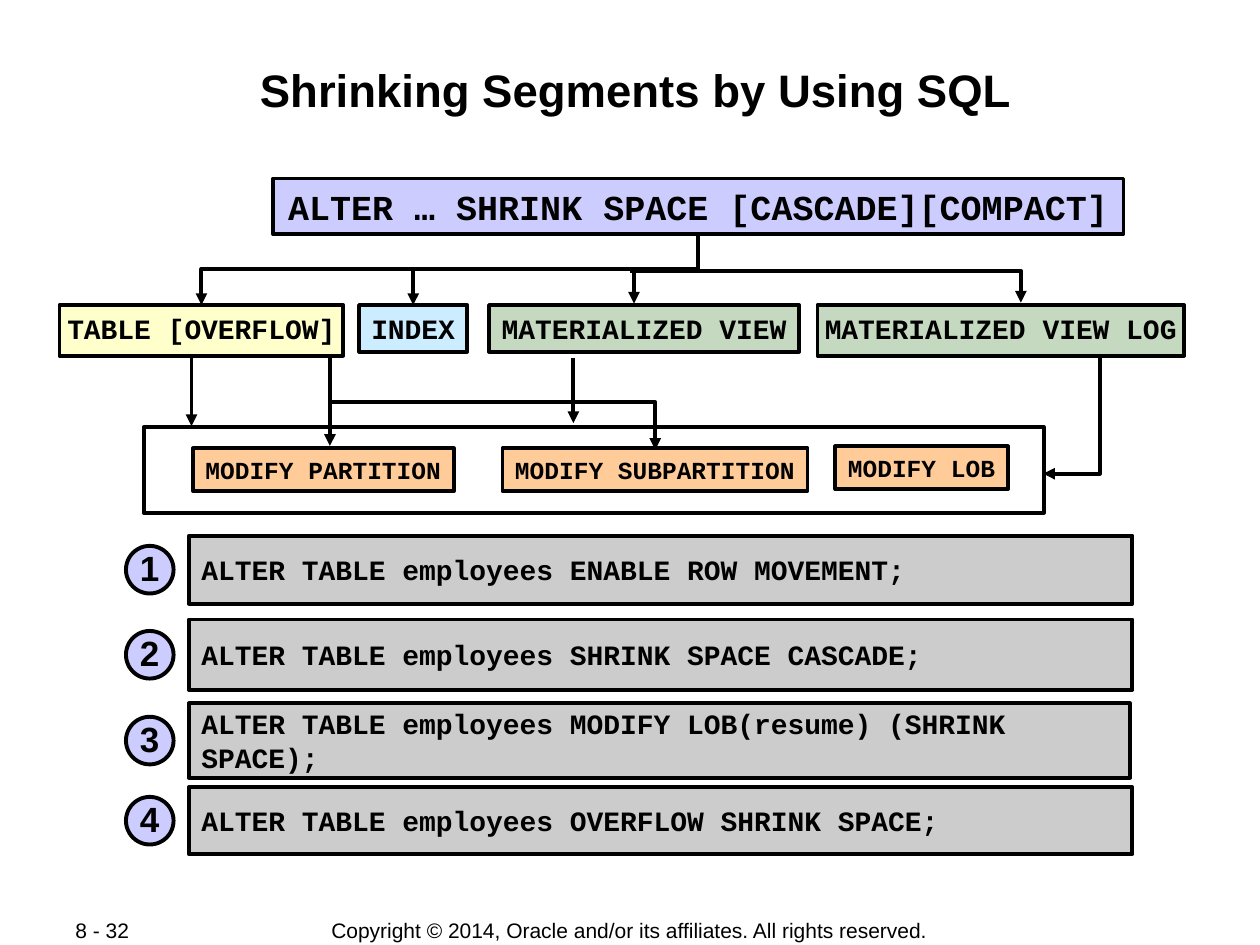
import dataclasses

import pptx
import pptx.dml.color
import pptx.enum.shapes
import pptx.enum.text
import pptx.oxml
import pptx.oxml.ns
import pptx.util

Cm = pptx.util.Cm
Pt = pptx.util.Pt
Align = pptx.enum.text.PP_ALIGN
Anchor = pptx.enum.text.MSO_ANCHOR
Preset = pptx.enum.shapes.MSO_SHAPE
Connector = pptx.enum.shapes.MSO_CONNECTOR


@dataclasses.dataclass(frozen=True)
class Theme:
    """Colours, fonts and type sizes of the slide."""
    ink: str = "000000"
    lilac: str = "CCCCFF"
    yellow: str = "FFFFCC"
    blue: str = "CCECFF"
    green: str = "C4D9BF"
    orange: str = "FFCC99"
    grey: str = "CCCCCC"
    sans: str = "Arial"
    mono: str = "Courier New"
    title: int = 26
    large: int = 20
    medium: int = 16
    small: int = 14
    footer: int = 12
    stroke: float = 2.25


THEME = Theme()


@dataclasses.dataclass(frozen=True)
class Box:
    """A rectangle in centimetres."""
    left: float
    top: float
    width: float
    height: float

    def inner(self, left, top, width, height):
        """Return a box placed relative to this one."""
        return Box(self.left + left, self.top + top, width, height)

    def point(self, x, y):
        """Return a point placed relative to this box."""
        return self.left + x, self.top + y

    def lengths(self):
        """Return left, top, width and height as slide lengths."""
        return Cm(self.left), Cm(self.top), Cm(self.width), Cm(self.height)


def rgb(value):
    """Turn a hex string into a colour."""
    return pptx.dml.color.RGBColor.from_string(value)


def write_text(shape, text, size, font=THEME.mono, bold=True, align=Align.CENTER,
               anchor=Anchor.TOP, insets=(0.25, 0.13, 0.25, 0.13), wrap=False, spacing=None):
    """Write one formatted paragraph into a shape."""
    frame = shape.text_frame
    frame.auto_size = pptx.enum.text.MSO_AUTO_SIZE.NONE
    frame.word_wrap = wrap
    frame.vertical_anchor = anchor
    (frame.margin_left, frame.margin_top,
     frame.margin_right, frame.margin_bottom) = map(Cm, insets)
    paragraph = frame.paragraphs[0]
    paragraph.alignment = align
    paragraph.space_before = Pt(0)
    paragraph.line_spacing = spacing
    run = paragraph.add_run()
    run.text = text
    run.font.name = font
    run.font.size = Pt(size)
    run.font.bold = bold
    run.font.color.rgb = rgb(THEME.ink)


def set_stroke(shape):
    """Give a shape or connector the common outline."""
    shape.line.color.rgb = rgb(THEME.ink)
    shape.line.width = Pt(THEME.stroke)


def add_panel(slide, box, fill=None, preset=Preset.RECTANGLE):
    """Add an outlined shape, filled if a colour is given."""
    shape = slide.shapes.add_shape(preset, *box.lengths())
    shape.shadow.inherit = False
    set_stroke(shape)
    if fill:
        shape.fill.solid()
        shape.fill.fore_color.rgb = rgb(fill)
    else:
        shape.fill.background()
    return shape


def add_label(slide, box, text, fill, size):
    """Add a panel holding one line of code."""
    write_text(add_panel(slide, box, fill), text, size)


def add_arrowhead(shape):
    """Stroke a line and end it with a triangle."""
    set_stroke(shape)
    line = shape.line._get_or_add_ln()
    line.append(pptx.oxml.parse_xml(
        f'<a:tailEnd {pptx.oxml.ns.nsdecls("a")} type="triangle"/>'))


def add_arrow(slide, start, end, kind=Connector.STRAIGHT):
    """Add an arrow from one point to another."""
    connector = slide.shapes.add_connector(kind, *map(Cm, (*start, *end)))
    add_arrowhead(connector)
    connector.element.spPr.append(pptx.oxml.parse_xml(
        f'<a:effectLst {pptx.oxml.ns.nsdecls("a")}/>'))
    return connector


def add_drop_arrow(slide, start, end):
    """Add an elbow arrow that leaves and arrives vertically."""
    across, down = end[0] - start[0], end[1] - start[1]
    middle_x, middle_y = (start[0] + end[0]) / 2, (start[1] + end[1]) / 2
    side = 1 if across > 0 else -1
    turned_start = middle_x + side * down / 2, middle_y - abs(across) / 2
    turned_end = middle_x - side * down / 2, middle_y + abs(across) / 2
    connector = add_arrow(slide, turned_start, turned_end, Connector.ELBOW)
    angle = 270 if across > 0 else 90
    connector.element.spPr.find(pptx.oxml.ns.qn("a:xfrm")).set("rot", str(angle * 60000))


def add_title(slide, box):
    """Fill the title placeholder."""
    title = slide.shapes.title
    title.left, title.top, title.width, title.height = box.lengths()
    write_text(title, "Shrinking Segments by Using SQL", THEME.title, THEME.sans,
               insets=(0.03,) * 4, wrap=True)


def add_syntax_diagram(slide, box):
    """Draw the statement, its object types and their clauses."""
    add_label(slide, box.inner(4.31, 0, 17.14, 1.12),
              "ALTER … SHRINK SPACE [CASCADE][COMPACT]", THEME.lilac, THEME.large)
    for text, left, width, height, fill in (
            ("TABLE [OVERFLOW]", 0, 5.72, 1.02, THEME.yellow),
            ("INDEX", 6.04, 2.18, 0.94, THEME.blue),
            ("MATERIALIZED VIEW", 8.66, 6.25, 0.94, THEME.green),
            ("MATERIALIZED VIEW LOG", 15.28, 7.39, 1.02, THEME.green)):
        add_label(slide, box.inner(left, 2.55, width, height), text, fill, THEME.medium)

    add_panel(slide, box.inner(1.7, 5.01, 18.14, 1.73))
    for text, left, top, width in (
            ("MODIFY PARTITION", 2.69, 5.44, 5.26),
            ("MODIFY SUBPARTITION", 8.93, 5.44, 6.15),
            ("MODIFY LOB", 15.64, 5.4, 3.48)):
        add_label(slide, box.inner(left, top, width, 0.86), text, THEME.orange, THEME.small)

    for start, end in (((12.87, 1.1), (2.86, 2.55)),
                       ((12.87, 1.1), (7.13, 2.55)),
                       ((5.45, 3.54), (12.01, 5.47))):
        add_drop_arrow(slide, box.point(*start), box.point(*end))
    for x, top, bottom in ((2.66, 3.56, 4.99), (5.45, 3.54, 5.39),
                           (10.36, 3.61, 4.93), (11.58, 1.91, 2.52)):
        add_arrow(slide, box.point(x, top), box.point(x, bottom))

    log_arrow = add_arrow(slide, box.point(11.5, 1.86), box.point(19.38, 2.5), Connector.ELBOW)
    log_arrow.element.spPr.find(pptx.oxml.ns.qn("a:prstGeom")).set("prst", "bentConnector2")

    start, corner, end = (tuple(map(Cm, box.point(x, y)))
                          for x, y in ((20.97, 3.54), (20.97, 5.95), (19.83, 5.95)))
    builder = slide.shapes.build_freeform(*start)
    builder.add_line_segments([corner, end], close=False)
    return_arrow = builder.convert_to_shape()
    return_arrow.shadow.inherit = False
    return_arrow.fill.background()
    add_arrowhead(return_arrow)


def add_statements(slide, box):
    """List the numbered example statements."""
    badge, indent, pitch = 0.96, 1.27, 1.69
    for index, (text, trim, height) in enumerate((
            ("ALTER TABLE employees ENABLE ROW MOVEMENT;", 0, 1.37),
            ("ALTER TABLE employees SHRINK SPACE CASCADE;", 0, 1.42),
            ("ALTER TABLE employees MODIFY LOB(resume) (SHRINK SPACE);", 0.05, 1.5),
            ("ALTER TABLE employees OVERFLOW SHRINK SPACE;", 0, 1.35))):
        row = box.inner(0, index * pitch, box.width, height)
        bar = add_panel(slide, row.inner(indent, 0, row.width - indent - trim, height), THEME.grey)
        write_text(bar, text, THEME.medium, align=Align.LEFT, anchor=Anchor.MIDDLE,
                   insets=(0.25, 0.03, 0.25, 0.03), wrap=True)
        circle = add_panel(slide, row.inner(0, (height - badge) / 2, badge, badge),
                           THEME.lilac, Preset.OVAL)
        write_text(circle, str(index + 1), THEME.large, THEME.sans, anchor=Anchor.MIDDLE,
                   insets=(0.13,) * 4, spacing=0.95)


def add_footer(slide, box):
    """Write the page number and the copyright line."""
    for text, left, width, align in (
            ("8 - 32", 0, 2.69, Align.LEFT),
            ("Copyright © 2014, Oracle and/or its affiliates. All rights reserved.",
             5.72, 11.4, Align.CENTER)):
        area = box.inner(left, 0, width, box.height)
        text_box = slide.shapes.add_textbox(*area.lengths())
        write_text(text_box, text, THEME.footer, THEME.sans, bold=False, align=align,
                   anchor=Anchor.MIDDLE, wrap=align == Align.LEFT)


def main():
    """Build and save the presentation."""
    presentation = pptx.Presentation()
    presentation.slide_width, presentation.slide_height = Cm(25.4), Cm(19.05)
    slide = presentation.slides.add_slide(presentation.slide_layouts[5])
    add_title(slide, Box(1.82, 1.22, 22, 2.44))
    add_syntax_diagram(slide, Box(1.2, 3.6, 22.67, 6.74))
    add_statements(slide, Box(2.54, 10.8, 20.29, 6.42))
    add_footer(slide, Box(1.27, 18.49, 22.86, 0.52))
    presentation.save("out.pptx")


if __name__ == "__main__":
    main()
